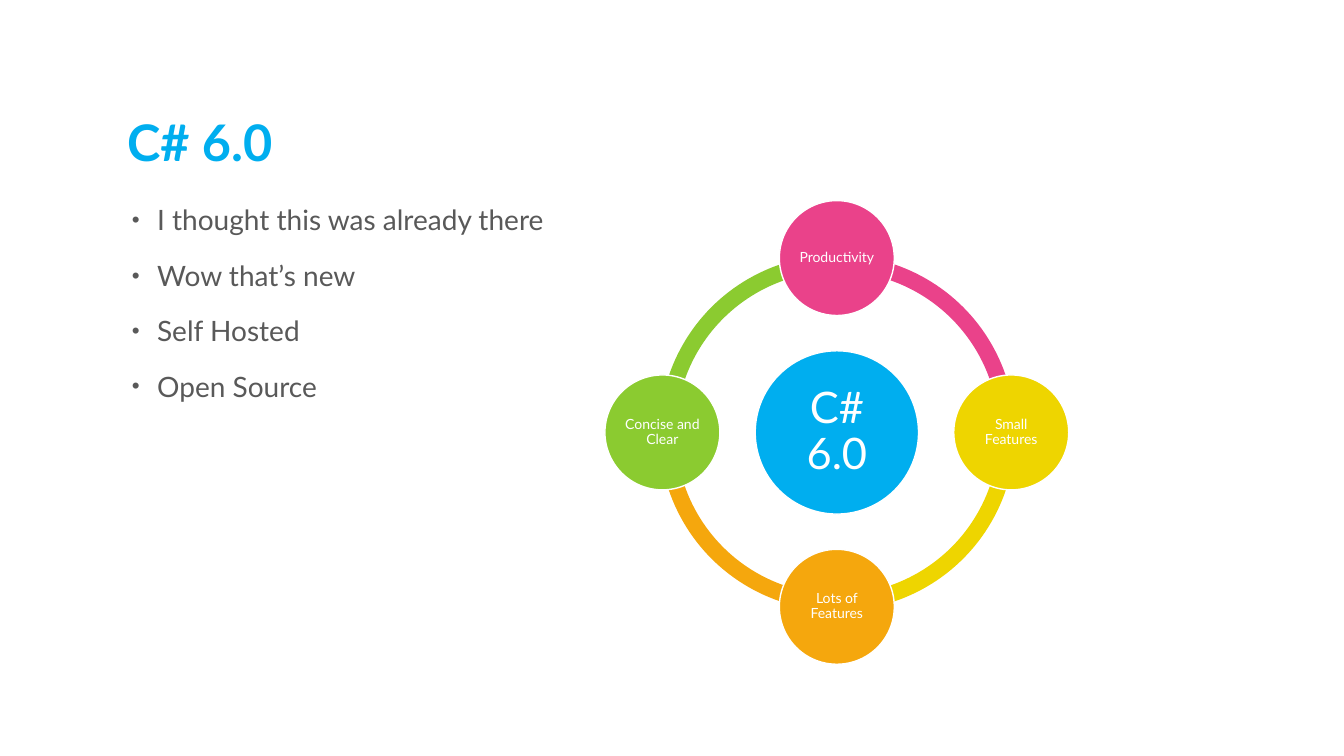
from dataclasses import dataclass
from math import cos, radians, sin

from lxml import etree
from pptx import Presentation
from pptx import util as u
from pptx.dml.color import RGBColor
from pptx.enum import shapes, text
from pptx.oxml.ns import qn


@dataclass(frozen=True)
class Theme:
    font: str = "Lato"
    blue: str = "00AEEF"
    pink: str = "EA428A"
    gold: str = "EED500"
    amber: str = "F5A70D"
    green: str = "8BCB30"
    gray: str = "595959"
    white: str = "FFFFFF"
    head: int = 36
    body: int = 20
    hub: int = 31
    node: int = 10


def px(n):
    """100 px make one inch."""
    return u.Emu(n * 9144)


def apply(obj, form):
    for key, val in form.items():
        setattr(obj, key, val)


class Board:
    def __init__(self, deck, theme):
        self.theme = theme
        self.slide = deck.slides.add_slide(deck.slide_layouts[5])

    def label(self, frame, lines, size, color, para, bold=False, **form):
        apply(frame, {"word_wrap": True, "auto_size": text.MSO_AUTO_SIZE.NONE, **form})
        frame.text = "\n".join(lines)
        for p in frame.paragraphs:
            apply(p, para)
            font = p.runs[0].font
            apply(font, {"name": self.theme.font, "size": u.Pt(size), "bold": bold})
            font.color.rgb = RGBColor.from_string(color)

    def title(self, words, x, y, w, h):
        box = self.slide.shapes.title
        apply(box, {"left": px(x), "top": px(y), "width": px(w), "height": px(h)})
        self.label(box.text_frame, [words], self.theme.head, self.theme.blue,
                   {"alignment": text.PP_ALIGN.LEFT, "line_spacing": 0.8}, bold=True,
                   vertical_anchor=text.MSO_ANCHOR.BOTTOM)

    def bullets(self, lines, x, y, w, h):
        frame = self.slide.shapes.add_textbox(px(x), px(y), px(w), px(h)).text_frame
        self.label(frame, lines, self.theme.body, self.theme.gray,
                   {"line_spacing": 0.9, "space_before": u.Pt(18)})
        for p in frame.paragraphs:
            props = p._p.get_or_add_pPr()
            props.set("marL", str(px(30)))
            props.set("indent", str(px(-25)))
            tint = etree.SubElement(props, qn("a:buClr"))
            etree.SubElement(tint, qn("a:srgbClr"), val=self.theme.gray)
            etree.SubElement(props, qn("a:buSzPct"), val="80000")
            etree.SubElement(props, qn("a:buFont"), typeface="Arial")
            etree.SubElement(props, qn("a:buChar"), char="•")

    def round(self, kind, cx, cy, size, color):
        shape = self.slide.shapes.add_shape(
            kind, px(cx - size // 2), px(cy - size // 2), px(size), px(size))
        shape.shadow.inherit = False
        shape.fill.solid()
        shape.fill.fore_color.rgb = RGBColor.from_string(color)
        shape.line.fill.background()
        return shape

    def arc(self, cx, cy, size, color, start):
        shape = self.round(shapes.MSO_SHAPE.BLOCK_ARC, cx, cy, size, color)
        # One degree is 0.6 in adjustment units
        for i, val in enumerate((start * 0.6, (start + 90) % 360 * 0.6, 0.046)):
            shape.adjustments[i] = val

    def disc(self, words, cx, cy, size, color, points, inset):
        shape = self.round(shapes.MSO_SHAPE.OVAL, cx, cy, size, color)
        shape.line.color.rgb = RGBColor.from_string(self.theme.white)
        shape.line.width = u.Pt(1)
        sides = ("left", "top", "right", "bottom")
        self.label(shape.text_frame, [words], points, self.theme.white,
                   {"alignment": text.PP_ALIGN.CENTER, "line_spacing": 0.9},
                   vertical_anchor=text.MSO_ANCHOR.MIDDLE,
                   **{f"margin_{side}": px(inset) for side in sides})


def main():
    deck = Presentation()
    apply(deck, {"slide_width": px(1333), "slide_height": px(750)})
    theme = Theme()
    board = Board(deck, theme)

    # Title and list
    board.title("C# 6.0", 116, 58, 950, 117)
    board.bullets(["I thought this was already there", "Wow that’s new",
                   "Self Hosted", "Open Source"], 116, 200, 465, 458)

    # Nodes clockwise from the top, each with the arc that leaves it
    cx, cy, reach = 830, 429, 173
    nodes = [("Productivity", theme.pink), ("Small Features", theme.gold),
             ("Lots of Features", theme.amber), ("Concise and Clear", theme.green)]
    turns = [(270 + 90 * i) % 360 for i in range(len(nodes))]

    # Ring
    for (_, color), turn in zip(nodes, turns):
        board.arc(cx, cy, 353, color, turn)

    # Hub and nodes
    board.disc("C# 6.0", cx, cy, 162, theme.blue, theme.hub, 4)
    for (words, color), turn in zip(nodes, turns):
        x = cx + round(reach * cos(radians(turn)))
        y = cy + round(reach * sin(radians(turn)))
        board.disc(words, x, y, 114, color, theme.node, 1)

    deck.save("out.pptx")


if __name__ == "__main__":
    main()
